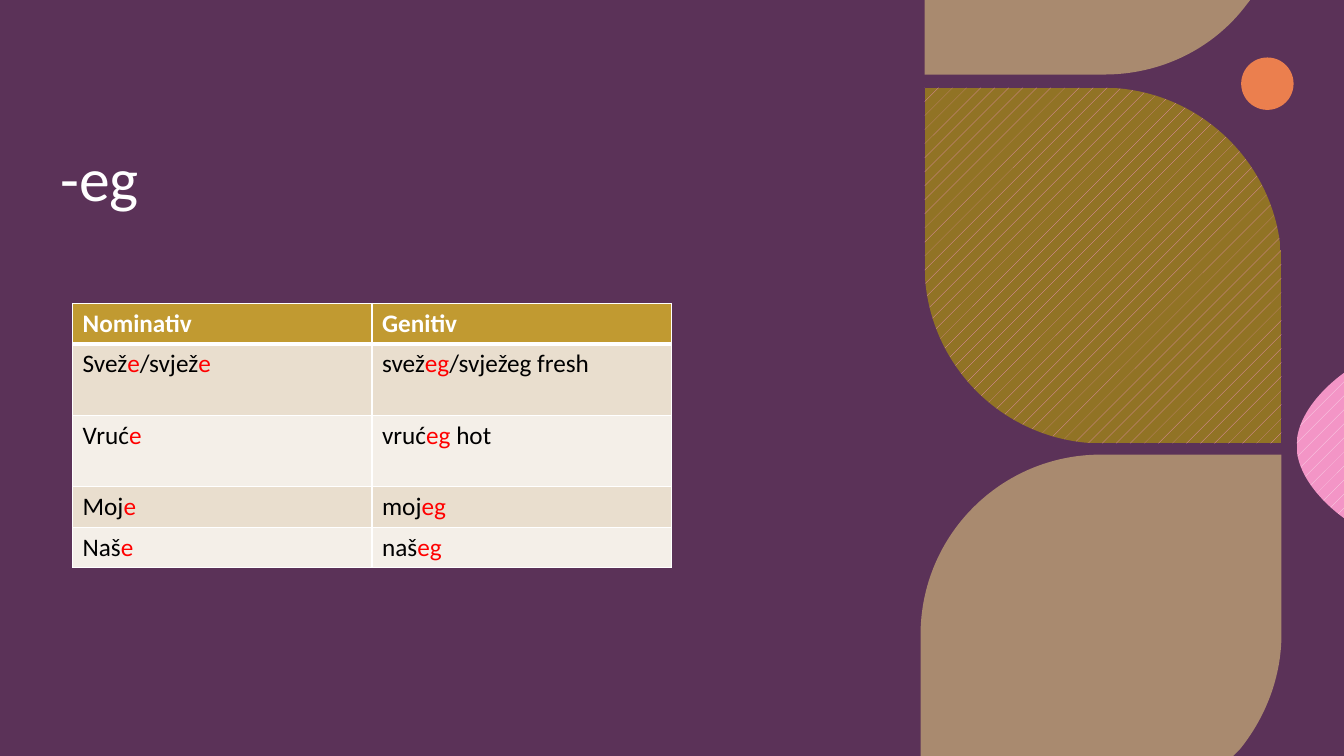
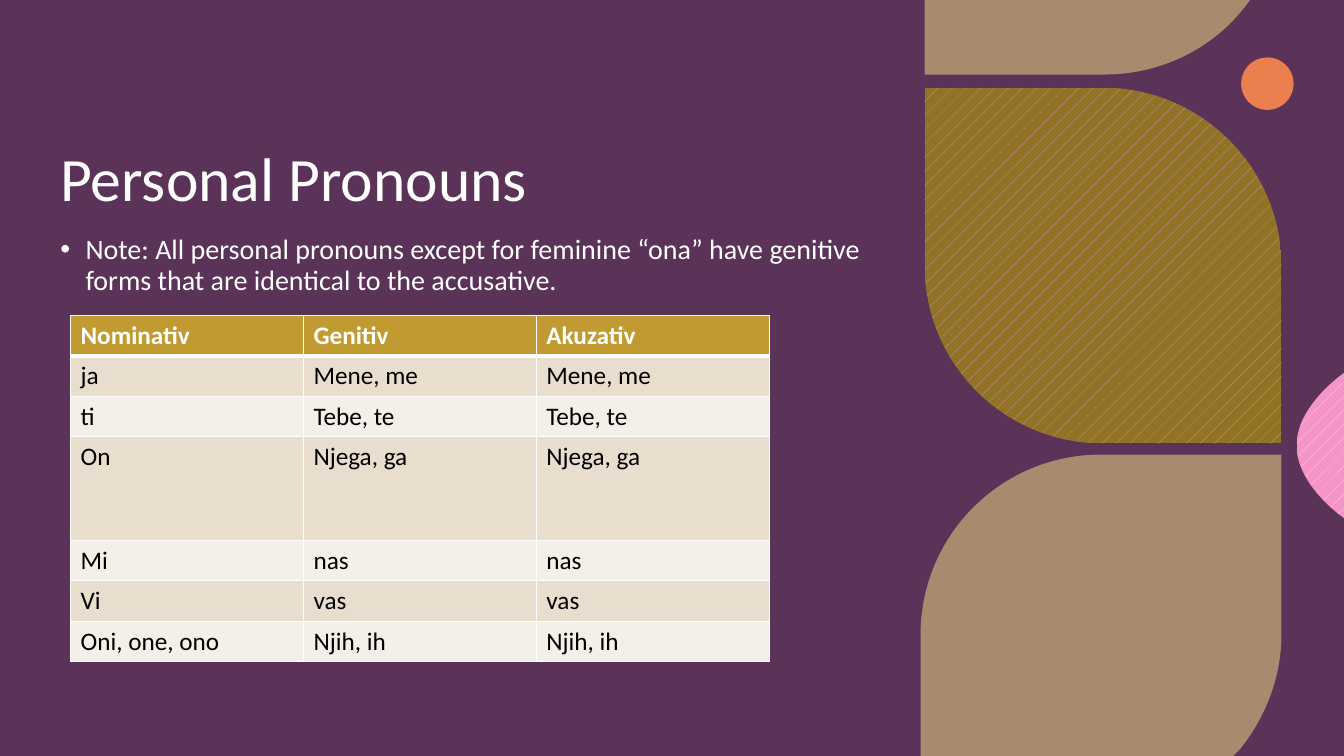
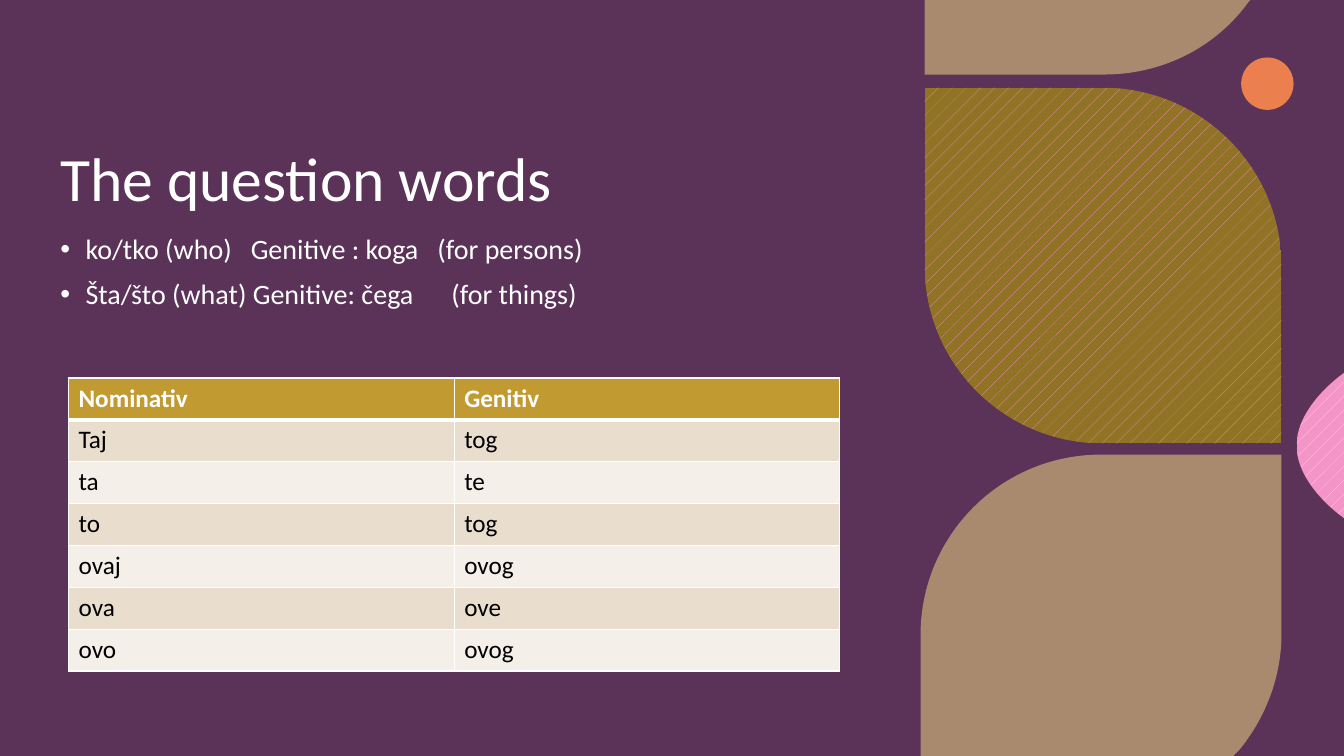
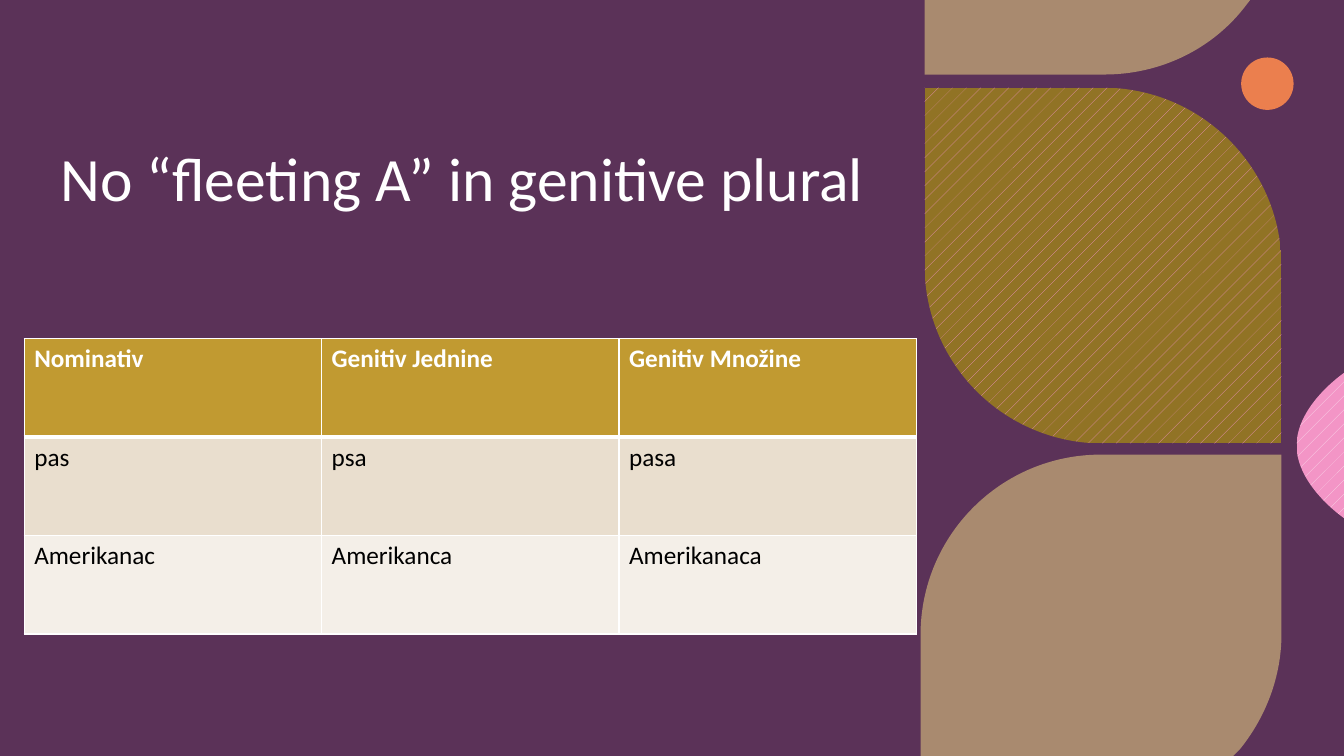
from lxml import etree
from pptx import Presentation
from pptx.dml.color import RGBColor
from pptx.enum.dml import MSO_PATTERN
from pptx.enum.shapes import MSO_SHAPE
from pptx.enum.text import MSO_ANCHOR
from pptx.oxml.ns import qn
from pptx.util import Inches, Pt

RECT, OVAL = MSO_SHAPE.RECTANGLE, MSO_SHAPE.OVAL
DOTS = MSO_PATTERN.PERCENT_5
TOP, BOTTOM = MSO_ANCHOR.TOP, MSO_ANCHOR.BOTTOM

COLORS = {
    "base": "41243F", "veil": "83487F", "sand": "DEC57F", "orange": "EB7F4E",
    "pink": "F395C6", "blush": "FBDCEC", "olive": "917325", "gold": "C19A31",
    "band_dark": "E9DECE", "band_light": "F4EFE8",
    "white": "FFFFFF", "black": "000000", "red": "FF0000",
}
FONT = "Calibri"
WIDTH, HEIGHT = 13.33, 7.5
TITLE_BOX = (0.5, 0.73, 8.4, 1.45)
BODY_BOX = (0.5, 2.29, 8.4, 4.46)
TITLE_FORMAT = {"size": Pt(44), "bold": False}
BODY_FORMAT = {"size": Pt(20), "bold": False}
HEAD_FORMAT = {"size": Pt(18), "bold": True}
CELL_FORMAT = {"size": Pt(18), "bold": False}

TOP_LEAF = [(9.17, 0), (12.4, 0), (12.33, 0.09),
            (12.01, 0.49, 11.51, 0.74, 10.95, 0.74), (9.17, 0.74)]
BOTTOM_LEAF = [(10.92, 4.51), (12.71, 4.51), (12.71, 6.29),
               (12.71, 6.72, 12.55, 7.12, 12.3, 7.43), (12.23, 7.5),
               (9.13, 7.5), (9.13, 6.3), (9.13, 5.31, 9.93, 4.51, 10.92, 4.51)]
PINK_PETAL = [(13.33, 3.7), (13.33, 5.14),
              (13.33, 5.14, 12.86, 4.82, 12.86, 4.42),
              (12.86, 4.02, 13.33, 3.7, 13.33, 3.7)]
MIDDLE_LEAF = [(12.71, 4.4), (10.94, 4.4),
               (9.96, 4.4, 9.17, 3.61, 9.17, 2.63), (9.17, 0.87), (10.94, 0.87),
               (11.91, 0.87, 12.71, 1.66, 12.71, 2.64)]

SLIDES = [
    {"title": "-eg", "notes": [],
     "at": (0.72, 3.01), "width": 5.94, "heights": [0.4, 0.71, 0.71, 0.4, 0.4],
     "rows": [("Nominativ", "Genitiv"),
              ("Svež|e|/svjež|e", "svež|eg|/svježeg fresh"),
              ("Vruć|e", "vruć|eg| hot"),
              ("Moj|e", "moj|eg"),
              ("Naš|e", "naš|eg")]},
    {"title": "Personal Pronouns",
     "notes": ["Note: All personal pronouns except for feminine “ona” have "
               "genitive forms that are identical to the accusative."],
     "at": (0.7, 3.13), "width": 6.93,
     "heights": [0.4, 0.4, 0.4, 1.03, 0.4, 0.4, 0.4],
     "rows": [("Nominativ", "Genitiv", "Akuzativ"),
              ("ja", "Mene, me", "Mene, me"),
              ("ti", "Tebe, te", "Tebe, te"),
              ("On", "Njega, ga", "Njega, ga"),
              ("Mi", "nas", "nas"),
              ("Vi", "vas", "vas"),
              ("Oni, one, ono", "Njih, ih", "Njih, ih")]},
    {"title": "The question words",
     "notes": ["ko/tko (who)   Genitive : koga   (for persons)",
               "Šta/što (what) Genitive: čega      (for things)"],
     "at": (0.68, 3.75), "width": 7.65, "heights": [2.91 / 7] * 7,
     "rows": [("Nominativ", "Genitiv"), ("Taj", "tog"), ("ta", "te"),
              ("to", "tog"), ("ovaj", "ovog"), ("ova", "ove"),
              ("ovo", "ovog")]},
    {"title": "No “fleeting A” in genitive plural", "notes": [],
     "at": (0.24, 3.36), "width": 8.85, "heights": [2.93 / 3] * 3,
     "rows": [("Nominativ", "Genitiv Jednine", "Genitiv Množine"),
              ("pas", "psa", "pasa"),
              ("Amerikanac", "Amerikanca", "Amerikanaca")]},
]


def rgb(name):
    return RGBColor.from_string(COLORS[name])


def paint(sp, color, alpha=None, dots=None):
    sp.shadow.inherit = False
    sp.line.fill.background()
    if dots:
        sp.fill.patterned()
        sp.fill.pattern = DOTS
        sp.fill.fore_color.rgb = rgb(dots)
        sp.fill.back_color.rgb = rgb(color)
        return
    sp.fill.solid()
    sp.fill.fore_color.rgb = rgb(color)
    if alpha:
        clr = sp._element.spPr.find(qn("a:solidFill"))[0]
        etree.SubElement(clr, qn("a:alpha")).set("val", str(alpha * 1000))


def add_preset(s, kind, box, color, alpha=None):
    paint(s.shapes.add_shape(kind, *map(Inches, box)), color, alpha)


def bend_curves(sp, outline):
    lines = iter(list(sp._element.iter(qn("a:lnTo"))))
    for part in outline[1:]:
        first = next(lines)
        if len(part) == 6:
            first.tag = qn("a:cubicBezTo")
            for line in (next(lines), next(lines)):
                first.append(line[0])
                line.getparent().remove(line)


def add_outline(s, outline, color, alpha=None, dots=None):
    points = [(Inches(part[i]), Inches(part[i + 1]))
              for part in outline for i in range(0, len(part), 2)]
    builder = s.shapes.build_freeform(*points[0])
    builder.add_line_segments(points[1:], close=True)
    sp = builder.convert_to_shape()
    bend_curves(sp, outline)
    paint(sp, color, alpha, dots)


def add_backdrop(s):
    s.background.fill.solid()
    s.background.fill.fore_color.rgb = rgb("base")
    add_preset(s, RECT, (0, 0, WIDTH, HEIGHT), "veil", 40)
    add_preset(s, OVAL, (12.31, 0.57, 0.52, 0.52), "orange")
    add_outline(s, TOP_LEAF, "sand", 60)
    add_outline(s, BOTTOM_LEAF, "sand", 60)
    add_outline(s, PINK_PETAL, "pink", dots="blush")
    add_outline(s, MIDDLE_LEAF, "olive", dots="pink")


def add_run(p, text, color, formats):
    r = p.add_run()
    r.text = text
    r.font.name = FONT
    r.font.color.rgb = rgb(color)
    for name, value in formats.items():
        setattr(r.font, name, value)


def add_bullet(p):
    pPr = p._p.get_or_add_pPr()
    pPr.set("marL", str(Inches(0.25)))
    pPr.set("indent", str(-Inches(0.25)))
    etree.SubElement(pPr, qn("a:buFont")).set("typeface", "Arial")
    etree.SubElement(pPr, qn("a:buChar")).set("char", "•")


def add_text(s, box, lines, formats, anchor, bullets=False):
    tf = s.shapes.add_textbox(*map(Inches, box)).text_frame
    tf.word_wrap = True
    tf.vertical_anchor = anchor
    for i, line in enumerate(lines):
        p = tf.add_paragraph() if i else tf.paragraphs[0]
        p.line_spacing = 0.9
        if bullets:
            p.space_before = Pt(10)
            add_bullet(p)
        add_run(p, line, "white", formats)


def add_borders(cell, widths):
    tcPr = cell._tc.get_or_add_tcPr()
    for i, (side, width) in enumerate(widths.items()):
        ln = etree.Element(qn("a:ln" + side), w=str(Pt(width)))
        fill = etree.SubElement(ln, qn("a:solidFill"))
        etree.SubElement(fill, qn("a:srgbClr")).set("val", COLORS["white"])
        tcPr.insert(i, ln)


def fill_cell(cell, text, row):
    cell.fill.solid()
    band = "band_dark" if row % 2 else "band_light"
    cell.fill.fore_color.rgb = rgb(band if row else "gold")
    add_borders(cell, {"L": 1, "R": 1, "T": 3 if row == 1 else 1,
                       "B": 1 if row else 3})
    p = cell.text_frame.paragraphs[0]
    for i, part in enumerate(text.split("|")):
        ending = "red" if i % 2 else "black"
        add_run(p, part, ending if row else "white",
                CELL_FORMAT if row else HEAD_FORMAT)


def add_forms_table(s, at, width, heights, rows):
    n = len(rows[0])
    size = (width, sum(heights))
    table = s.shapes.add_table(len(rows), n, *map(Inches, at + size)).table
    for column in table.columns:
        column.width = Inches(width / n)
    for i, (height, texts) in enumerate(zip(heights, rows)):
        table.rows[i].height = Inches(height)
        for j, text in enumerate(texts):
            fill_cell(table.cell(i, j), text, i)


def add_grammar_slide(prs, data):
    s = prs.slides.add_slide(prs.slide_layouts[6])
    add_backdrop(s)
    add_text(s, TITLE_BOX, [data["title"]], TITLE_FORMAT, BOTTOM)
    if data["notes"]:
        add_text(s, BODY_BOX, data["notes"], BODY_FORMAT, TOP, bullets=True)
    add_forms_table(s, data["at"], data["width"], data["heights"], data["rows"])


def main():
    prs = Presentation()
    prs.slide_width, prs.slide_height = Inches(WIDTH), Inches(HEIGHT)
    for data in SLIDES:
        add_grammar_slide(prs, data)
    prs.save("out.pptx")


if __name__ == "__main__":
    main()
